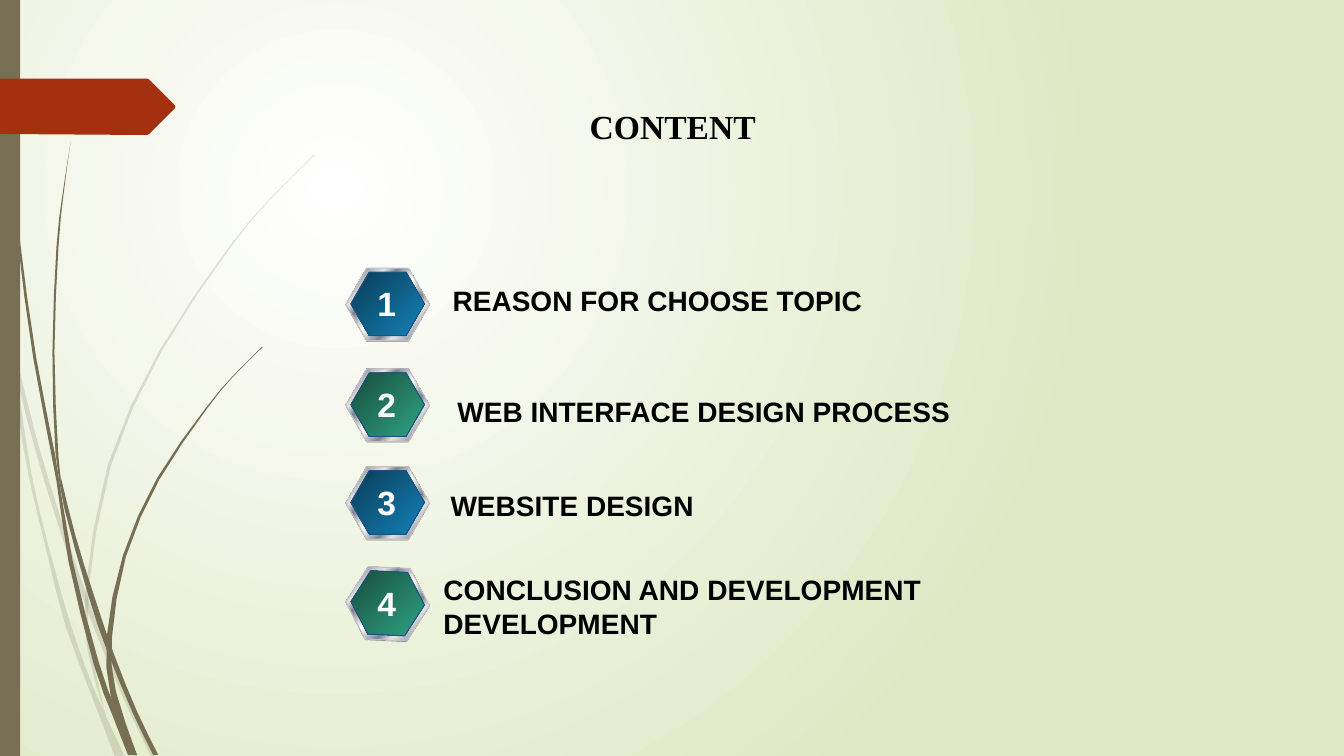
from lxml.etree import SubElement
from pptx import Presentation
from pptx.dml.color import RGBColor
from pptx.enum.shapes import MSO_SHAPE as SHAPE
from pptx.enum.text import PP_ALIGN as ALIGN, MSO_AUTO_SIZE as AUTO
from pptx.oxml.ns import qn
from pptx.util import Inches, Pt

COLORS = {
    "black": "000000", "white": "FFFFFF", "olive": "766F54", "red": "A53010",
    "cream": "DFE8C4", "shade": "808080", "rim": "C0C0C0", "edge": "1F5281",
    "silver": "E6E6E6", "steel": "7D8496",
    "blue_dark": "093C55", "blue": "1481B8",
    "green_dark": "164C3D", "green": "30A483",
}
METAL = [(0, "silver"), (8, "steel"), (26, "silver"), (34, "steel"),
         (46, "silver"), (50, "white"), (54, "silver"), (66, "steel"),
         (74, "silver"), (92, "steel"), (100, "silver")]
BLUE = [(0, "blue_dark"), (100, "blue")]
GREEN = [(0, "green_dark"), (100, "green")]

PALE_BLADES = [
    ([(0, 2.99), (0.1, 3.44), (0.18, 4.1), (0.28, 4.7), (0.46, 5.46),
      (0.65, 6.21), (0.92, 6.93), (1.14, 7.51)],
     [(0, 2.82), (0.09, 3.22), (0.17, 3.76), (0.31, 4.69), (0.49, 5.45),
      (0.7, 6.19), (0.93, 6.83), (1.24, 7.51)]),
    ([(0.14, 3.45), (0.17, 3.76), (0.36, 4.5), (0.58, 5.22), (0.88, 6.1),
      (1.23, 6.94), (1.5, 7.51)],
     [(0.14, 3.45), (0.36, 4.34), (0.62, 5.2), (0.92, 6.07), (1.27, 6.92), (1.55, 7.51)]),
    ([(3.12, 1.53), (2.68, 1.97), (2.28, 2.44), (1.58, 3.48), (1.07, 4.61),
      (0.85, 5.84), (0.87, 6.46), (1.05, 7.11)],
     [(3.12, 1.54), (2.68, 1.98), (2.29, 2.45), (1.6, 3.49), (1.1, 4.62),
      (0.88, 5.84), (0.91, 6.46), (1.05, 7.11)]),
]
DARK_BLADES = [
    ([(0.03, 0), (0.07, 1.1), (0.17, 2.33), (0.33, 3.55), (0.56, 4.77),
      (0.68, 5.57), (0.93, 6.59), (1.11, 7.08), (1.27, 7.49)],
     [(0.04, 0), (0.08, 1.09), (0.19, 2.32), (0.36, 3.55), (0.55, 4.53),
      (0.72, 5.56), (0.98, 6.57), (1.16, 7.06), (1.36, 7.49)]),
    ([(0.6, 4.72), (0.64, 5.05), (0.88, 5.92), (1.06, 6.45), (1.32, 7.08), (1.52, 7.49)],
     [(0.6, 4.72), (0.75, 5.32), (0.93, 5.9), (1.13, 6.49), (1.36, 7.06), (1.57, 7.49)]),
    ([(2.6, 3.44), (2.31, 3.73), (2.04, 4.05), (1.56, 4.74), (1.22, 5.51),
      (1.06, 6.31), (1.1, 6.91), (1.33, 7.49)],
     [(2.61, 3.44), (2.31, 3.74), (2.05, 4.06), (1.58, 4.76), (1.25, 5.52),
      (1.11, 6.33), (1.15, 6.86), (1.36, 7.49)]),
    ([(0.7, 1.41), (0.62, 1.93), (0.56, 2.45), (0.52, 3.49), (0.55, 4.49), (0.64, 5.05)],
     [(0.7, 1.41), (0.63, 1.93), (0.58, 2.45), (0.54, 3.49), (0.58, 4.53), (0.64, 5.05)]),
]
RED_TAG = [(0, 0.78), (1.46, 0.78), (1.48, 0.79), (1.73, 1.04), (1.74, 1.06),
           (1.73, 1.08), (1.48, 1.33), (1.46, 1.34), (0, 1.33)]
TOPICS = [
    (2.66, BLUE, 0, "REASON FOR CHOOSE TOPIC", (4.39, 2.76, 5.42, 0.43), ALIGN.LEFT),
    (3.66, GREEN, 0, "WEB INTERFACE DESIGN PROCESS", (4.27, 3.86, 5.42, 0.44), ALIGN.CENTER),
    (4.63, BLUE, 0, "WEBSITE DESIGN", (4.37, 4.8, 6.02, 0.44), ALIGN.LEFT),
    (5.63, GREEN, 2.7, "CONCLUSION AND DEVELOPMENT DEVELOPMENT", (4.3, 5.63, 5.91, 0.77), ALIGN.LEFT),
]


def rgb(name):
    return RGBColor.from_string(COLORS[name])


def set_gradient(owner, fill, stops, circle=False):
    fill.gradient()
    if not circle:
        fill.gradient_angle = 315
    grad = next(owner.element.iter(qn("a:gradFill")))
    stop_list = grad.find(qn("a:gsLst"))
    stop_list[:] = []
    for pos, name in stops:
        stop = SubElement(stop_list, qn("a:gs"), pos=str(pos * 1000))
        SubElement(stop, qn("a:srgbClr"), val=COLORS[name])
    if circle:
        grad.remove(grad.find(qn("a:lin")))
        ring = SubElement(grad, qn("a:path"), {"path": "circle"})
        SubElement(ring, qn("a:fillToRect"), l="50000", t="50000", r="100000", b="100000")


def paint(shape, fill, line=None, alpha=None):
    shape.shadow.inherit = False
    if isinstance(fill, list):
        set_gradient(shape, shape.fill, fill)
    else:
        shape.fill.solid()
        shape.fill.fore_color.rgb = rgb(fill)
    if alpha:
        color = next(shape.element.iter(qn("a:srgbClr")))
        SubElement(color, qn("a:alpha"), val=str(alpha * 1000))
    if line:
        shape.line.color.rgb = rgb(line)
        shape.line.width = Pt(0.75)
    else:
        shape.line.fill.background()


def add_preset(s, kind, box, fill, line=None, rotation=0):
    shape = s.shapes.add_shape(kind, *map(Inches, box))
    if kind == SHAPE.HEXAGON:
        shape.adjustments[0] = 0.289
    shape.rotation = rotation
    paint(shape, fill, line)


def add_outline(s, points, fill, alpha=None):
    points = [(Inches(x), Inches(y)) for x, y in points]
    builder = s.shapes.build_freeform(*points[0])
    builder.add_line_segments(points[1:], close=True)
    paint(builder.convert_to_shape(), fill, alpha=alpha)


def extend(end, inner):
    return tuple(2 * a - b for a, b in zip(end, inner))


def smooth(edge):
    padded = [extend(edge[0], edge[1]), *edge, extend(edge[-1], edge[-2])]
    points = [edge[0]]
    for a, b, c, d in zip(padded, padded[1:], padded[2:], padded[3:]):
        middle = tuple((9 * (q + r) - p - t) / 16 for p, q, r, t in zip(a, b, c, d))
        points += [middle, c]
    return points


def add_blade(s, left, right, alpha):
    add_outline(s, smooth(left) + smooth(right)[::-1], "olive", alpha)


def add_text(s, text, box, size=20, font="Arial", color="black", align=ALIGN.LEFT, wrap=True):
    tf = s.shapes.add_textbox(*map(Inches, box)).text_frame
    tf.word_wrap = wrap
    tf.auto_size = AUTO.SHAPE_TO_FIT_TEXT
    p = tf.paragraphs[0]
    p.alignment = align
    r = p.add_run()
    r.text = text
    r.font.name, r.font.size, r.font.bold = font, Pt(size), True
    r.font.color.rgb = rgb(color)


def add_badge(s, number, top, gradient, rotation):
    add_preset(s, SHAPE.HEXAGON, (3.43, top + 0.01, 0.83, 0.72), "shade", rotation=rotation)
    add_preset(s, SHAPE.HEXAGON, (3.43, top, 0.83, 0.72), METAL, "rim", rotation)
    add_preset(s, SHAPE.HEXAGON, (3.48, top + 0.04, 0.73, 0.63), gradient, "edge", rotation)
    add_text(s, str(number), (3.64, top + 0.1, 0.39, 0.5), size=24, color="white",
             align=ALIGN.CENTER, wrap=False)


def main():
    prs = Presentation()
    prs.slide_width, prs.slide_height = Inches(13.33), Inches(7.5)
    s = prs.slides.add_slide(prs.slide_layouts[6])
    set_gradient(s, s.background.fill, [(0, "white"), (100, "cream")], circle=True)
    for blades, alpha in ((PALE_BLADES, 20), (DARK_BLADES, None)):
        for left, right in blades:
            add_blade(s, left, right, alpha)
    add_preset(s, SHAPE.RECTANGLE, (0, 0, 0.2, 7.5), "olive")
    add_outline(s, RED_TAG, "red")
    add_text(s, "CONTENT", (5.75, 1, 2.04, 0.5), size=24, font="Times New Roman")
    for number, (top, gradient, rotation, title, box, align) in enumerate(TOPICS, 1):
        add_badge(s, number, top, gradient, rotation)
        add_text(s, title, box, align=align)
    prs.save("out.pptx")


if __name__ == "__main__":
    main()
